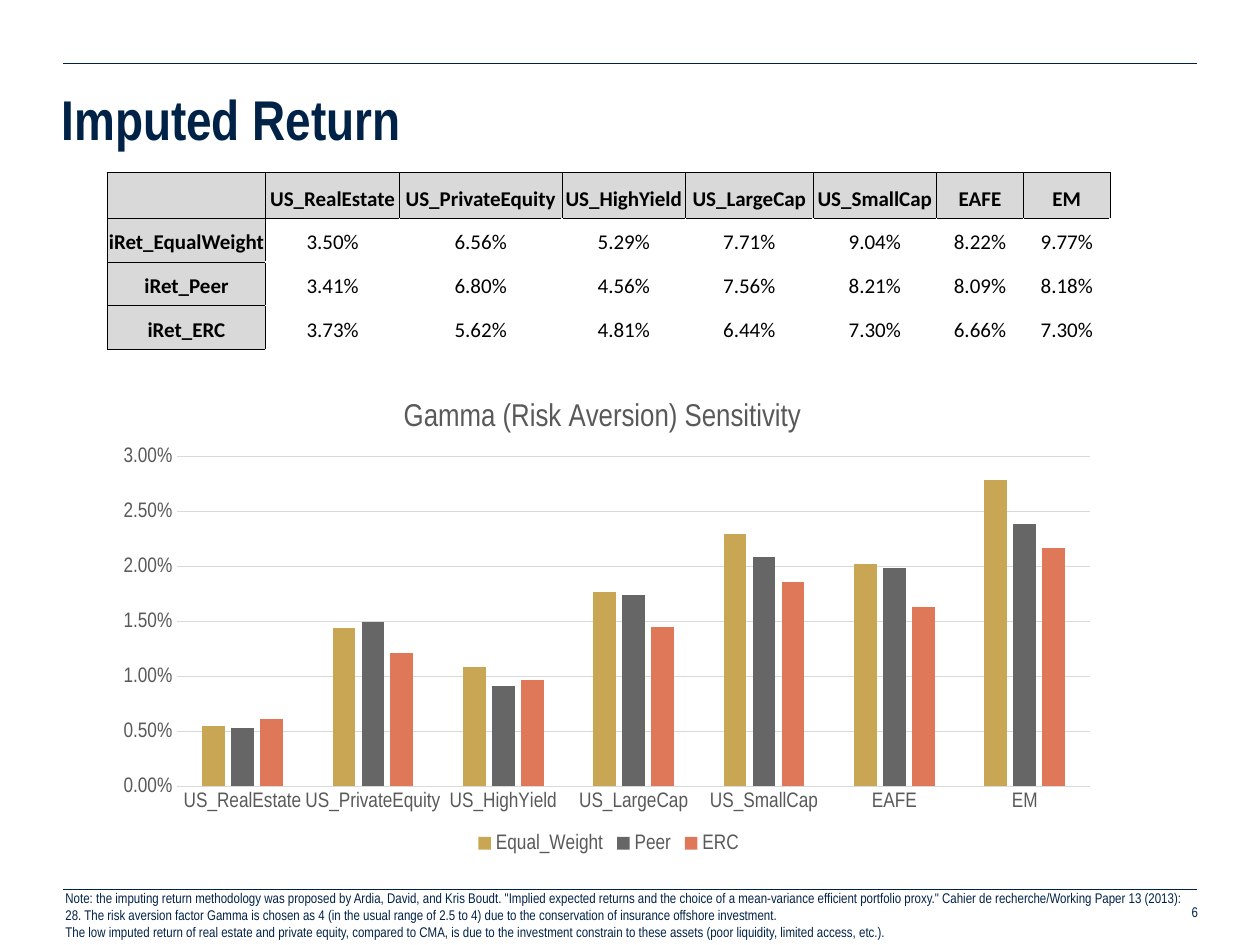
from pptx import Presentation
from pptx.chart.data import CategoryChartData
from pptx.dml.color import RGBColor
from pptx.enum import chart as kinds, shapes, text
from pptx.oxml import parse_xml, ns, xmlchemy
from pptx.util import Cm, Pt

NAVY = RGBColor(0x00, 0x22, 0x47)
BLACK = RGBColor(0x00, 0x00, 0x00)
GREY = RGBColor(0x59, 0x59, 0x59)
PALE = RGBColor(0xD9, 0xD9, 0xD9)
GOLD = RGBColor(0xC9, 0xA6, 0x53)
SLATE = RGBColor(0x66, 0x66, 0x66)
CORAL = RGBColor(0xDF, 0x77, 0x59)
NARROW, BODY = "Arial Narrow", "Calibri"
LEFT, CENTER, RIGHT, JUSTIFY = (text.PP_ALIGN.LEFT, text.PP_ALIGN.CENTER,
                                text.PP_ALIGN.RIGHT, text.PP_ALIGN.JUSTIFY)
TOP, MIDDLE, BOTTOM = (text.MSO_ANCHOR.TOP, text.MSO_ANCHOR.MIDDLE,
                       text.MSO_ANCHOR.BOTTOM)

# Content
TITLE = "Imputed Return"
ASSETS = ["US_RealEstate", "US_PrivateEquity", "US_HighYield", "US_LargeCap",
          "US_SmallCap", "EAFE", "EM"]
RETURNS = [
    ("iRet_EqualWeight", 3.50, 6.56, 5.29, 7.71, 9.04, 8.22, 9.77),
    ("iRet_Peer", 3.41, 6.80, 4.56, 7.56, 8.21, 8.09, 8.18),
    ("iRet_ERC", 3.73, 5.62, 4.81, 6.44, 7.30, 6.66, 7.30),
]
COLUMN_WIDTHS = [3.2, 2.69, 3.28, 2.49, 2.57, 2.49, 1.75, 1.75]
ROW_HEIGHT = 0.88
CHART_TITLE = "Gamma (Risk Aversion) Sensitivity"
SENSITIVITY = [
    ("Equal_Weight", GOLD, (0.0055, 0.0144, 0.0109, 0.0177, 0.023, 0.0202, 0.0279)),
    ("Peer", SLATE, (0.0053, 0.015, 0.0091, 0.0174, 0.0209, 0.0199, 0.0239)),
    ("ERC", CORAL, (0.0061, 0.0121, 0.0097, 0.0145, 0.0186, 0.0163, 0.0217)),
]
NOTES = [
    'Note: the imputing return methodology was proposed by Ardia, David, and Kris '
    'Boudt. "Implied expected returns and the choice of a mean-variance efficient '
    'portfolio proxy." Cahier de recherche/Working Paper 13 (2013): 28. The risk '
    'aversion factor Gamma is chosen as 4 (in the usual range of 2.5 to 4) due to '
    'the conservation of insurance offshore investment.',
    'The low imputed return of real estate and private equity, compared to CMA, is '
    'due to the investment constrain to these assets (poor liquidity, limited '
    'access, etc.).',
]


def style(font, size, color, face=NARROW, bold=False):
    font.size, font.name, font.bold = Pt(size), face, bold
    font.color.rgb = color


def write(frame, *lines, align=LEFT, **look):
    for index, line in enumerate(lines):
        para = frame.add_paragraph() if index else frame.paragraphs[0]
        para.alignment = align
        span = para.add_run()
        span.text = line
        style(span.font, **look)


def place(box, left, top, width, height):
    box.left, box.top, box.width, box.height = map(Cm, (left, top, width, height))


def set_frame(holder, anchor, left, top, right, bottom):
    holder.vertical_anchor = anchor
    holder.margin_left, holder.margin_top = Cm(left), Cm(top)
    holder.margin_right, holder.margin_bottom = Cm(right), Cm(bottom)


def add_text(page, area, lines, anchor, margins, **look):
    box = page.shapes.add_textbox(*map(Cm, area))
    box.text_frame.word_wrap = True
    set_frame(box.text_frame, anchor, *margins)
    write(box.text_frame, *lines, **look)


def add_rule(page, y):
    rule = page.shapes.add_connector(shapes.MSO_CONNECTOR.STRAIGHT,
                                     Cm(1.27), Cm(y), Cm(24.13), Cm(y))
    rule.line.color.rgb, rule.line.width = NAVY, Pt(0.5)
    xmlchemy.OxmlElement  # element helpers come from pptx.oxml
    rule._element.spPr.append(parse_xml(f"<a:effectLst {ns.nsdecls('a')}/>"))


def set_borders(cell, sides):
    for side in "LRTB":
        if side in sides:
            cell._tc.get_or_add_tcPr().append(parse_xml(
                f'<a:ln{side} {ns.nsdecls("a")} w="6350"><a:solidFill>'
                f'<a:srgbClr val="{BLACK}"/></a:solidFill></a:ln{side}>'))


def add_returns(page):
    rows = [("", *ASSETS)]
    rows += [(name, *(f"{value:.2f}%" for value in values)) for name, *values in RETURNS]
    table = page.shapes.add_table(
        len(rows), len(rows[0]), Cm(2.16), Cm(3.48),
        Cm(sum(COLUMN_WIDTHS)), Cm(ROW_HEIGHT * len(rows))).table
    table.first_row = table.horz_banding = False
    for column, width in zip(table.columns, COLUMN_WIDTHS):
        column.width = Cm(width)
    for r, row in enumerate(rows):
        table.rows[r].height = Cm(ROW_HEIGHT)
        for c, label in enumerate(row):
            cell = table.cell(r, c)
            header = r == 0 or c == 0
            set_frame(cell, BOTTOM, 0.03, 0.03, 0.03, 0.13)
            write(cell.text_frame, label, align=CENTER, size=12, color=BLACK,
                  face=BODY, bold=header)
            if header:
                set_borders(cell, "LRTB")
                cell.fill.solid()
                cell.fill.fore_color.rgb = PALE
            else:
                set_borders(cell, ("L" if c == 1 else "") + ("T" if r == 1 else ""))
                cell.fill.background()


def layout_xml(x, y, w=None, h=None, inner=False):
    parts = ['<c:layoutTarget val="inner"/>'] if inner else []
    parts += [f'<c:{axis}Mode val="edge"/>' for axis in "xy"]
    sizes = zip("xywh", (x, y, w, h))
    parts += [f'<c:{key} val="{value}"/>' for key, value in sizes if value is not None]
    return parse_xml(f'<c:layout {ns.nsdecls("c")}><c:manualLayout>'
                     f'{"".join(parts)}</c:manualLayout></c:layout>')


def add_sensitivity(page):
    data = CategoryChartData(number_format="0.00%")
    data.categories = ASSETS
    for name, _, values in SENSITIVITY:
        data.add_series(name, values)
    chart = page.shapes.add_chart(
        kinds.XL_CHART_TYPE.COLUMN_CLUSTERED,
        Cm(2.16), Cm(7.67), Cm(20.22), Cm(9.63), data).chart
    style(chart.font, 10, BLACK)

    # Title and plot area
    chart.has_title = True
    write(chart.chart_title.text_frame, CHART_TITLE, align=CENTER, size=18, color=GREY)
    chart.chart_title.include_in_layout = False
    title = chart.chart_title._element
    for holder, layout in ((title, layout_xml(0.29, 0.03)),
                           (chart._chartSpace.chart.plotArea,
                            layout_xml(0.07, 0.16, 0.91, 0.69, inner=True))):
        for old in holder.findall(ns.qn("c:layout")):
            holder.remove(old)
        holder.insert(1 if holder is title else 0, layout)

    # Columns
    plot = chart.plots[0]
    plot.gap_width, plot.overlap, plot.vary_by_categories = 219, -27, False
    for series, (_, color, _) in zip(plot.series, SENSITIVITY):
        series.format.fill.solid()
        series.format.fill.fore_color.rgb = color

    # Axes and legend
    for axis in (chart.category_axis, chart.value_axis):
        axis.major_tick_mark = axis.minor_tick_mark = kinds.XL_TICK_MARK.NONE
        style(axis.tick_labels.font, 12, GREY)
    scale = chart.value_axis
    scale.minimum_scale, scale.maximum_scale, scale.major_unit = 0, 0.03, 0.005
    scale.tick_labels.number_format = "0.00%"
    scale.tick_labels.number_format_is_linked = False
    scale.format.line.fill.background()
    for line in (chart.category_axis.format.line, scale.major_gridlines.format.line):
        line.color.rgb, line.width = PALE, Pt(0.75)
    chart.has_legend = True
    chart.legend.position = kinds.XL_LEGEND_POSITION.BOTTOM
    chart.legend.include_in_layout = False
    style(chart.legend.font, 12, GREY)


def main():
    deck = Presentation()
    deck.slide_width, deck.slide_height = Cm(25.4), Cm(19.05)
    page = deck.slides.add_slide(deck.slide_layouts[5])

    # Frame rules and title
    for y in (1.27, 17.93):
        add_rule(page, y)
    title = page.shapes.title
    place(title, 1.24, 1.32, 22.89, 2.11)
    set_frame(title.text_frame, MIDDLE, 0, 0.13, 0.25, 0.13)
    write(title.text_frame, TITLE, size=32, color=NAVY, bold=True)

    # Page number and notes
    add_text(page, (18.16, 18.03, 5.99, 0.69), ["6"], MIDDLE, (0.25, 0.13, 0, 0.13),
             align=RIGHT, size=8, color=NAVY)
    add_text(page, (1.07, 17.81, 23.06, 1.27), NOTES, TOP, (0.25, 0.13, 0.25, 0.13),
             align=JUSTIFY, size=8, color=NAVY)

    add_returns(page)
    add_sensitivity(page)
    deck.save("out.pptx")


if __name__ == "__main__":
    main()
